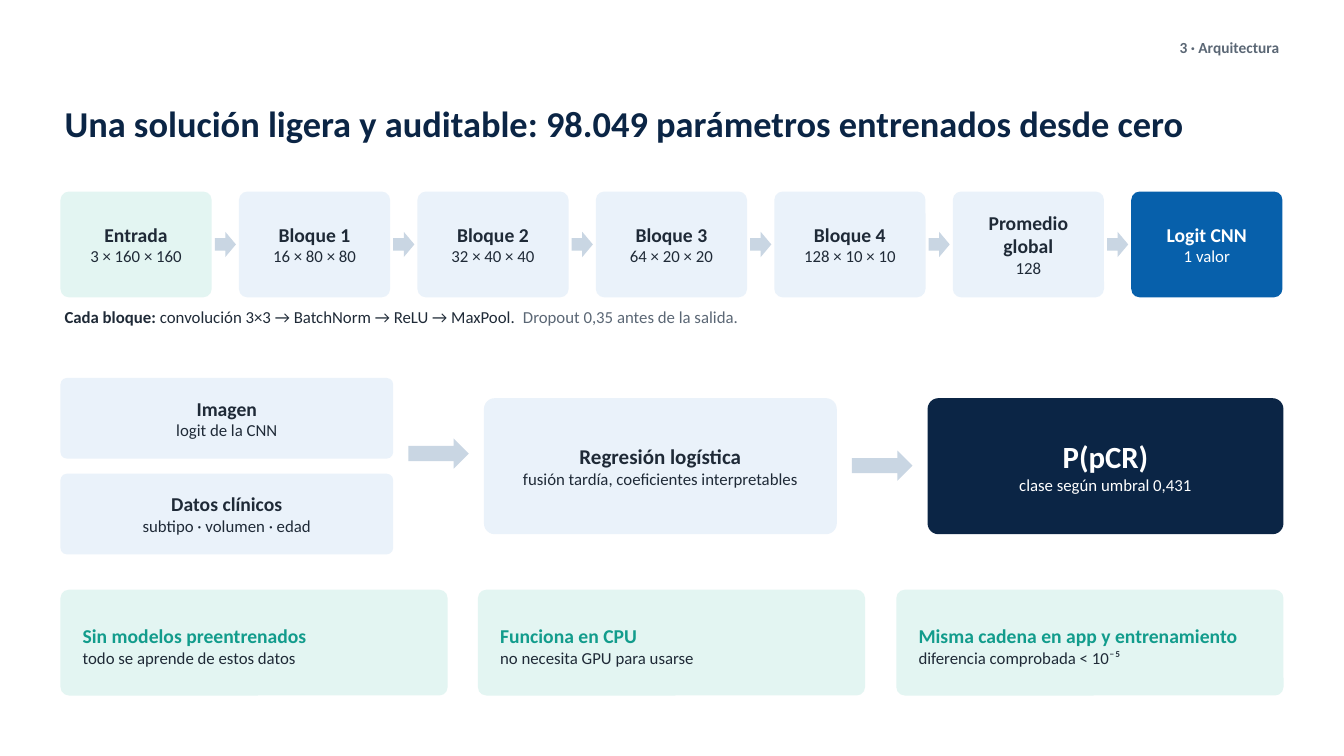
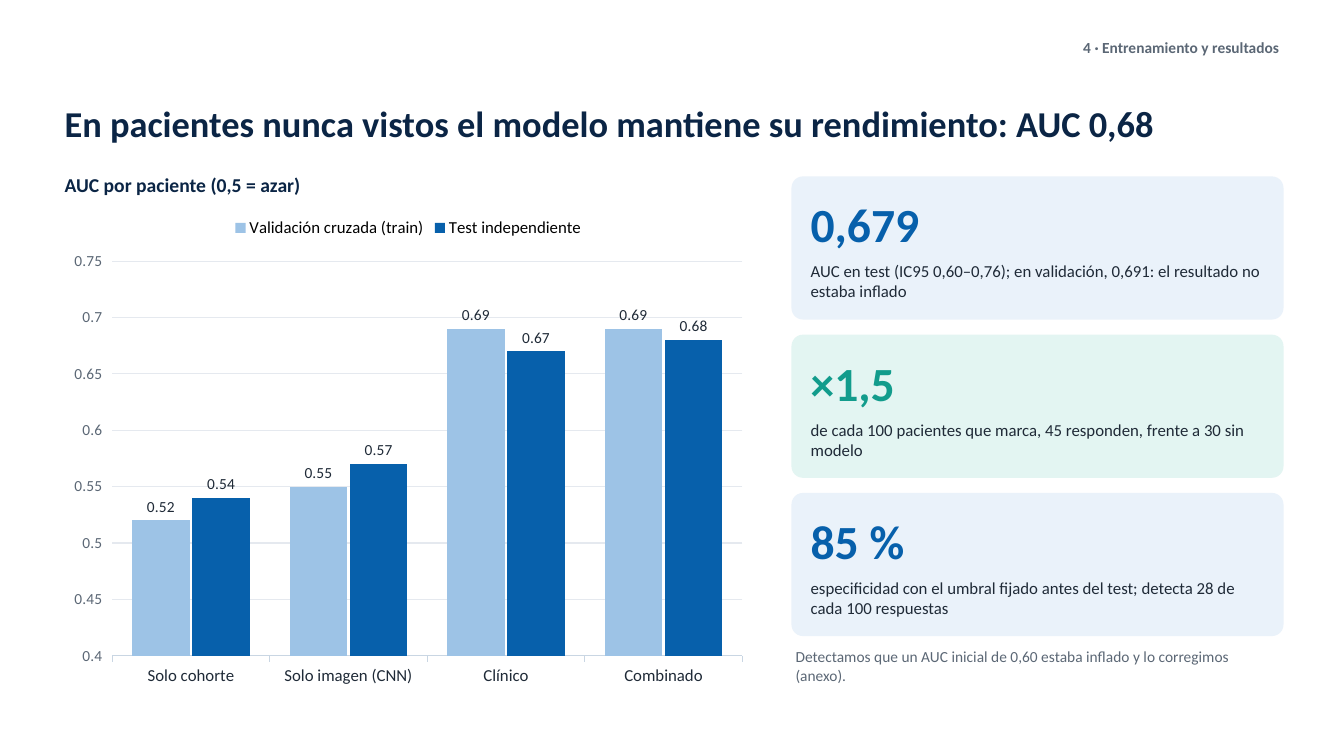
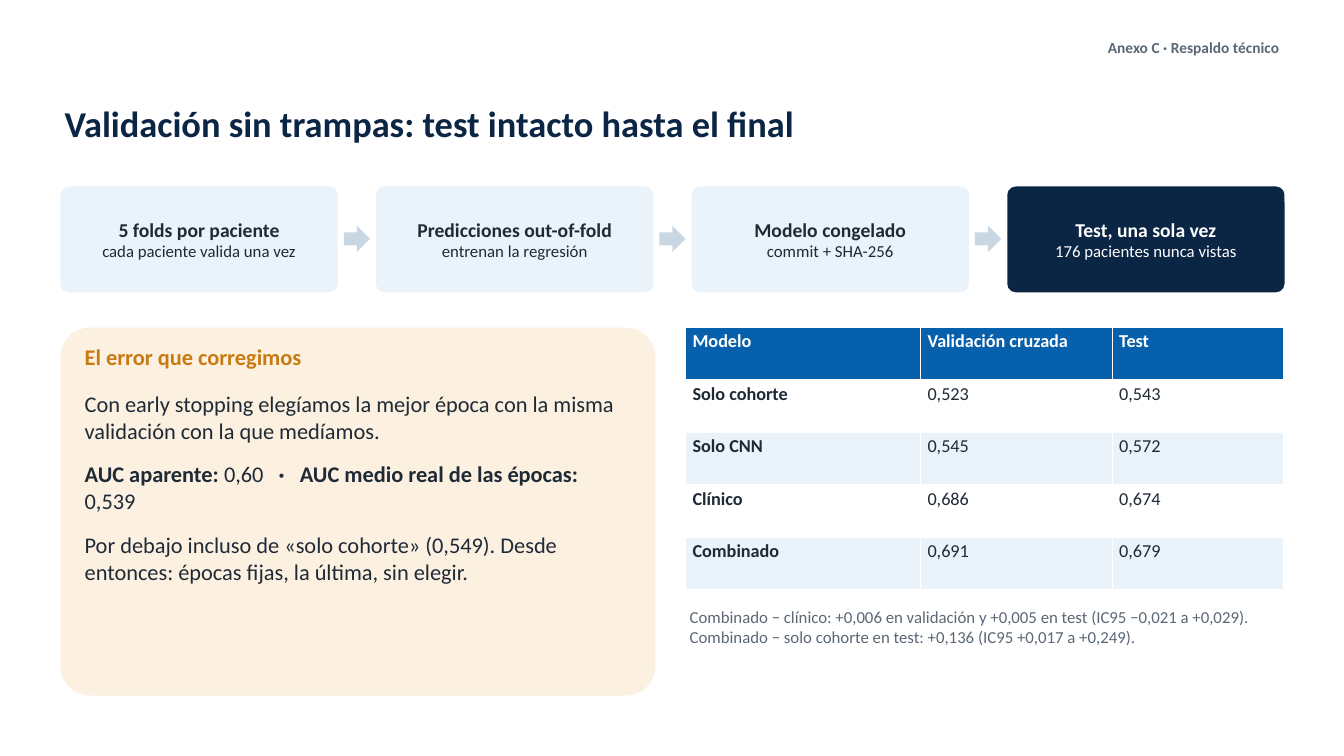
from dataclasses import dataclass
from typing import NamedTuple

from pptx import Presentation
from pptx.chart.data import CategoryChartData
from pptx.dml.color import RGBColor
from pptx.enum.chart import XL_CHART_TYPE as ChartType
from pptx.enum.chart import XL_LABEL_POSITION as LabelPos
from pptx.enum.chart import XL_LEGEND_POSITION as LegendPos
from pptx.enum.shapes import MSO_SHAPE as Shape
from pptx.enum.text import MSO_ANCHOR as Anchor
from pptx.enum.text import MSO_AUTO_SIZE as AutoSize
from pptx.enum.text import PP_ALIGN as Align
from pptx.util import Emu, Pt

PX = 9144
FONT = "Calibri"
LEFT, WIDTH = 60, 1213
COLORS = {
    "white": "FFFFFF",
    "navy": "0B2545",
    "blue": "0760AB",
    "sky": "9DC3E6",
    "pale": "EAF2FA",
    "mint": "E3F5F2",
    "teal": "129C8C",
    "cream": "FCF1E1",
    "amber": "C97A12",
    "ink": "1F2A37",
    "gray": "5B6775",
    "arrow": "C9D6E3",
    "grid": "E5E9EF",
}


class Rect(NamedTuple):
    x: int
    y: int
    w: int
    h: int


class Span(NamedTuple):
    text: str
    size: int = 12
    color: str = "ink"
    bold: bool = False


@dataclass
class Step:
    head: str
    detail: str
    fill: str = "pale"
    size: int = 14


@dataclass
class Stat:
    value: str
    detail: str
    fill: str
    color: str


def px(n: float) -> Emu:
    return Emu(round(n * PX))


def emu(rect: Rect) -> list[Emu]:
    return [px(n) for n in rect]


def rgb(name: str) -> RGBColor:
    return RGBColor.from_string(COLORS[name])


def set_font(font, size: int, color: str, bold: bool = False) -> None:
    font.name = FONT
    font.size = Pt(size)
    font.bold = bold
    font.color.rgb = rgb(color)


def write(tf, lines: list[list[Span]], align=Align.LEFT, after: int = 0) -> None:
    tf.text = "\n".join(line[0].text for line in lines)
    for p, line in zip(tf.paragraphs, lines):
        p.alignment = align
        p.space_after = Pt(after)
        for span in line[1:]:
            p.add_run().text = span.text
        for r, span in zip(p.runs, line):
            set_font(r.font, span.size, span.color, span.bold)


def set_frame(tf, anchor=Anchor.TOP) -> None:
    tf.word_wrap = True
    tf.auto_size = AutoSize.NONE
    tf.vertical_anchor = anchor
    tf.margin_left = tf.margin_right = px(4)
    tf.margin_top = tf.margin_bottom = px(2)


def add_text(s, rect: Rect, lines: list[list[Span]], anchor=Anchor.TOP,
             align=Align.LEFT, after: int = 0) -> None:
    tf = s.shapes.add_textbox(*emu(rect)).text_frame
    set_frame(tf, anchor)
    write(tf, lines, align, after)


def add_block(s, kind, rect: Rect, fill: str):
    sp = s.shapes.add_shape(kind, *emu(rect))
    sp.shadow.inherit = False
    sp.fill.solid()
    sp.fill.fore_color.rgb = rgb(fill)
    sp.line.fill.background()
    return sp


def add_card(s, rect: Rect, fill: str):
    sp = add_block(s, Shape.ROUNDED_RECTANGLE, rect, fill)
    sp.adjustments[0] = 0.08
    return sp


def add_arrow(s, rect: Rect) -> None:
    add_block(s, Shape.RIGHT_ARROW, rect, "arrow")


def add_step(s, rect: Rect, step: Step) -> None:
    tf = add_card(s, rect, step.fill).text_frame
    tf.word_wrap = True
    tf.vertical_anchor = Anchor.MIDDLE
    color = "white" if step.fill in ("blue", "navy") else "ink"
    write(tf, [[Span(step.head, step.size, color, True)],
               [Span(step.detail, 12, color)]], Align.CENTER)


def add_flow(s, first: Rect, gap: int, arrow_w: int, arrow_h: int,
             steps: list[Step]) -> None:
    for i, step in enumerate(steps):
        x = first.x + i * (first.w + gap)
        add_step(s, first._replace(x=x), step)
        if i:
            add_arrow(s, Rect(x - (gap + arrow_w) // 2,
                              first.y + (first.h - arrow_h) // 2,
                              arrow_w, arrow_h))


def add_slide(prs, section: str, title: str):
    s = prs.slides.add_slide(prs.slide_layouts[5])
    sp = s.shapes.title
    sp.left, sp.top, sp.width, sp.height = emu(Rect(LEFT, 86, WIDTH, 72))
    set_frame(sp.text_frame, Anchor.MIDDLE)
    write(sp.text_frame, [[Span(title, 26, "navy", True)]])
    add_text(s, Rect(730, 36, 543, 32), [[Span(section, 11, "gray", True)]],
             align=Align.RIGHT)
    return s


def build_architecture(prs) -> None:
    s = add_slide(prs, "3 · Arquitectura",
                  "Una solución ligera y auditable: 98.049 parámetros entrenados desde cero")
    add_flow(s, Rect(LEFT, 190, 150, 105), 27, 21, 25, [
        Step("Entrada", "3 × 160 × 160", "mint"),
        Step("Bloque 1", "16 × 80 × 80"),
        Step("Bloque 2", "32 × 40 × 40"),
        Step("Bloque 3", "64 × 20 × 20"),
        Step("Bloque 4", "128 × 10 × 10"),
        Step("Promedio global", "128"),
        Step("Logit CNN", "1 valor", "blue"),
    ])
    add_text(s, Rect(LEFT, 302, WIDTH, 35), [[
        Span("Cada bloque: ", bold=True),
        Span("convolución 3×3 → BatchNorm → ReLU → MaxPool.  "),
        Span("Dropout 0,35 antes de la salida.", color="gray"),
    ]])

    add_step(s, Rect(LEFT, 375, 330, 80), Step("Imagen", "logit de la CNN"))
    add_step(s, Rect(LEFT, 470, 330, 80),
             Step("Datos clínicos", "subtipo · volumen · edad"))
    add_arrow(s, Rect(405, 435, 60, 30))
    add_step(s, Rect(480, 395, 350, 135),
             Step("Regresión logística", "fusión tardía, coeficientes interpretables", size=15))
    add_arrow(s, Rect(845, 447, 60, 30))
    add_step(s, Rect(920, 395, 353, 135),
             Step("P(pCR)", "clase según umbral 0,431", "navy", 22))

    benefits = [
        ("Sin modelos preentrenados", "todo se aprende de estos datos"),
        ("Funciona en CPU", "no necesita GPU para usarse"),
        ("Misma cadena en app y entrenamiento", "diferencia comprobada < 10⁻⁵"),
    ]
    card_w = 384
    pitch = (WIDTH - card_w) / (len(benefits) - 1)
    for i, (head, detail) in enumerate(benefits):
        x = round(LEFT + i * pitch)
        add_card(s, Rect(x, 585, card_w, 105), "mint")
        add_text(s, Rect(x + 18, 593, card_w - 30, 95),
                 [[Span(head, 14, "teal", True)], [Span(detail)]], Anchor.MIDDLE)


def add_auc_chart(s, rect: Rect) -> None:
    data = CategoryChartData(number_format="0.00")
    data.categories = ["Solo cohorte", "Solo imagen (CNN)", "Clínico", "Combinado"]
    data.add_series("Validación cruzada (train)", (0.52, 0.55, 0.69, 0.69))
    data.add_series("Test independiente", (0.54, 0.57, 0.67, 0.68))
    chart = s.shapes.add_chart(ChartType.COLUMN_CLUSTERED, *emu(rect), data).chart
    chart.has_title = False
    set_font(chart.font, 12, "ink")
    chart.has_legend = True
    chart.legend.position = LegendPos.TOP
    chart.legend.include_in_layout = False
    chart.legend.font.size = Pt(12)
    chart.legend.font.color.rgb = RGBColor(0, 0, 0)

    cat, val = chart.category_axis, chart.value_axis
    set_font(cat.tick_labels.font, 12, "ink")
    cat.format.line.color.rgb = rgb("arrow")
    cat.format.line.width = Pt(0.75)
    set_font(val.tick_labels.font, 11, "gray")
    val.tick_labels.number_format = "General"
    val.tick_labels.number_format_is_linked = False
    val.minimum_scale, val.maximum_scale, val.major_unit = 0.4, 0.75, 0.05
    val.format.line.fill.background()
    grid = val.major_gridlines.format.line
    grid.color.rgb = rgb("grid")
    grid.width = Pt(0.75)

    plot = chart.plots[0]
    plot.vary_by_categories = False
    plot.gap_width, plot.overlap = 70, -5
    for series, color in zip(plot.series, ("sky", "blue")):
        series.format.fill.solid()
        series.format.fill.fore_color.rgb = rgb(color)
        labels = series.data_labels
        labels.show_value = True
        labels.position = LabelPos.OUTSIDE_END
        labels.number_format = "0.00"
        labels.number_format_is_linked = False
        set_font(labels.font, 11, "ink")


def build_results(prs) -> None:
    s = add_slide(prs, "4 · Entrenamiento y resultados",
                  "En pacientes nunca vistos el modelo mantiene su rendimiento: AUC 0,68")
    add_auc_chart(s, Rect(LEFT, 205, 690, 485))
    add_text(s, Rect(LEFT, 170, 690, 36),
             [[Span("AUC por paciente (0,5 = azar)", 14, "navy", True)]])
    stats = [
        Stat("0,679", "AUC en test (IC95 0,60–0,76); en validación, 0,691: "
             "el resultado no estaba inflado", "pale", "blue"),
        Stat("×1,5", "de cada 100 pacientes que marca, 45 responden, "
             "frente a 30 sin modelo", "mint", "teal"),
        Stat("85 %", "especificidad con el umbral fijado antes del test; "
             "detecta 28 de cada 100 respuestas", "pale", "blue"),
    ]
    for i, stat in enumerate(stats):
        y = 175 + i * 157
        add_card(s, Rect(785, y, 488, 142), stat.fill)
        add_text(s, Rect(800, y + 8, 458, 78),
                 [[Span(stat.value, 34, stat.color, True)]], Anchor.MIDDLE)
        add_text(s, Rect(800, y + 82, 458, 57), [[Span(stat.detail)]])
    add_text(s, Rect(785, 640, 488, 55), [[Span(
        "Detectamos que un AUC inicial de 0,60 estaba inflado y lo corregimos (anexo).",
        11, "gray")]])


def add_auc_table(s, rect: Rect) -> None:
    rows = [
        ("Modelo", "Validación cruzada", "Test"),
        ("Solo cohorte", "0,523", "0,543"),
        ("Solo CNN", "0,545", "0,572"),
        ("Clínico", "0,686", "0,674"),
        ("Combinado", "0,691", "0,679"),
    ]
    table = s.shapes.add_table(len(rows), len(rows[0]), *emu(rect)).table
    table.horz_banding = False
    for col, w in zip(table.columns, (233, 190, 170)):
        col.width = px(w)
    for i, row in enumerate(rows):
        fill = "blue" if i == 0 else "white" if i % 2 else "pale"
        for j, text in enumerate(row):
            cell = table.cell(i, j)
            cell.fill.solid()
            cell.fill.fore_color.rgb = rgb(fill)
            cell.margin_left = cell.margin_right = px(7)
            cell.margin_top = cell.margin_bottom = px(3)
            color = "white" if i == 0 else "ink"
            write(cell.text_frame, [[Span(text, 13, color, i == 0 or j == 0)]])


def build_validation(prs) -> None:
    s = add_slide(prs, "Anexo C · Respaldo técnico",
                  "Validación sin trampas: test intacto hasta el final")
    add_flow(s, Rect(LEFT, 185, 275, 105), 38, 26, 26, [
        Step("5 folds por paciente", "cada paciente valida una vez"),
        Step("Predicciones out-of-fold", "entrenan la regresión"),
        Step("Modelo congelado", "commit + SHA-256"),
        Step("Test, una sola vez", "176 pacientes nunca vistas", "navy"),
    ])
    add_card(s, Rect(LEFT, 325, 590, 365), "cream")
    add_text(s, Rect(80, 338, 550, 40),
             [[Span("El error que corregimos", 16, "amber", True)]])
    add_text(s, Rect(80, 385, 550, 300), [
        [Span("Con early stopping elegíamos la mejor época con la misma "
              "validación con la que medíamos.", 16)],
        [Span("AUC aparente: ", 16, bold=True), Span("0,60", 16),
         Span("   ·   AUC medio real de las épocas: ", 16, bold=True),
         Span("0,539", 16)],
        [Span("Por debajo incluso de «solo cohorte» (0,549). Desde entonces: "
              "épocas fijas, la última, sin elegir.", 16)],
    ], after=12)
    add_auc_table(s, Rect(680, 325, 593, 260))
    add_text(s, Rect(680, 600, 593, 90), [[Span(
        "Combinado − clínico: +0,006 en validación y +0,005 en test "
        "(IC95 −0,021 a +0,029). Combinado − solo cohorte en test: "
        "+0,136 (IC95 +0,017 a +0,249).", color="gray")]])


def main() -> None:
    prs = Presentation()
    prs.slide_width, prs.slide_height = px(1333), px(750)
    build_architecture(prs)
    build_results(prs)
    build_validation(prs)
    prs.save("out.pptx")


if __name__ == "__main__":
    main()
